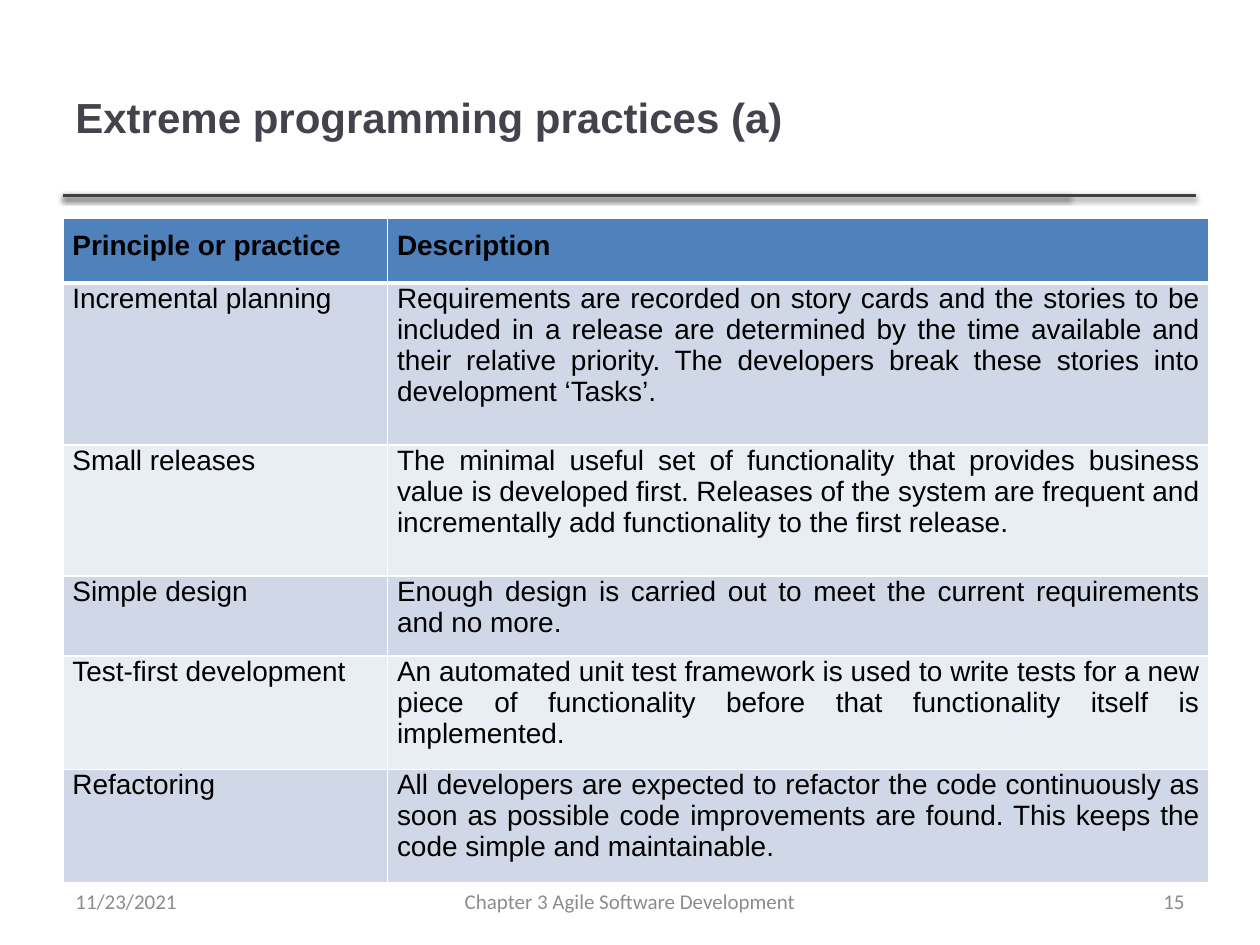
from dataclasses import dataclass

from lxml import etree
from pptx import Presentation
from pptx import util as u
from pptx.dml.color import RGBColor
from pptx.enum import shapes, text
from pptx.oxml import ns

Pt = u.Pt


@dataclass(frozen=True)
class Theme:
    title: str = "46424D"
    rule: str = "404040"
    footer: str = "8C8C8C"
    body: str = "000000"
    header_fill: str = "4F81BD"
    bands: tuple = ("D0D8E8", "E9EDF4")
    border: str = "FFFFFF"
    heading_font: str = "Arial"
    footer_font: str = "Calibri"
    title_size: int = 24
    body_size: int = 16
    footer_size: int = 12


theme = Theme()
align = text.PP_ALIGN


def write(text_frame, wording, font_name, size, color, bold, alignment):
    text_frame.text = wording
    text_frame.word_wrap = True
    paragraph = text_frame.paragraphs[0]
    paragraph.alignment = alignment
    font = paragraph.runs[0].font
    font.name = font_name
    font.size = Pt(size)
    font.bold = bold
    font.color.rgb = RGBColor.from_string(color)


def add_solid_fill(parent, color):
    fill = etree.SubElement(parent, ns.qn("a:solidFill"))
    return etree.SubElement(fill, ns.qn("a:srgbClr"), val=color)


presentation = Presentation()
presentation.slide_width = Pt(720)
presentation.slide_height = Pt(540)
slide = presentation.slides.add_slide(presentation.slide_layouts[6])

left = 36
rule_y = 111.6
for right in (611.3, 683.3):
    rule = slide.shapes.add_connector(
        shapes.MSO_CONNECTOR.STRAIGHT, Pt(left), Pt(rule_y), Pt(right), Pt(rule_y)
    )
    rule.line.width = Pt(2)
    rule.line.color.rgb = RGBColor.from_string(theme.rule)
    effects = etree.SubElement(rule._element.spPr, ns.qn("a:effectLst"))
    shadow = etree.SubElement(
        effects, ns.qn("a:outerShdw"), blurRad=str(Pt(3.1)), dist=str(Pt(1.6)),
        dir="5400000", rotWithShape="0",
    )
    shadow_color = etree.SubElement(shadow, ns.qn("a:srgbClr"), val="000000")
    etree.SubElement(shadow_color, ns.qn("a:alpha"), val="38000")

title_style = (theme.heading_font, theme.title_size, theme.title, True)
footer_style = (theme.footer_font, theme.footer_size, theme.footer, False)
text_boxes = [
    ("Extreme programming practices (a)", left, 21.6, 574.6, 90, title_style, align.LEFT),
    ("11/23/2021", left, 500.4, 168, 28.8, footer_style, align.LEFT),
    ("Chapter 3 Agile Software Development", 246, 500.4, 228, 28.8, footer_style, align.CENTER),
    ("15", 516, 500.4, 168, 28.8, footer_style, align.RIGHT),
]
for wording, x, y, width, height, style, alignment in text_boxes:
    text_box = slide.shapes.add_textbox(Pt(x), Pt(y), Pt(width), Pt(height))
    text_box.text_frame.vertical_anchor = text.MSO_ANCHOR.MIDDLE
    write(text_box.text_frame, wording, *style, alignment)

practices = [
    ("Principle or practice", "Description"),
    ("Incremental planning",
     "Requirements are recorded on story cards and the stories to be included in a release "
     "are determined by the time available and their relative priority. The developers break "
     "these stories into development ‘Tasks’."),
    ("Small releases",
     "The minimal useful set of functionality that provides business value is developed first. "
     "Releases of the system are frequent and incrementally add functionality to the first "
     "release."),
    ("Simple design",
     "Enough design is carried out to meet the current requirements and no more."),
    ("Test-first development",
     "An automated unit test framework is used to write tests for a new piece of functionality "
     "before that functionality itself is implemented."),
    ("Refactoring",
     "All developers are expected to refactor the code continuously as soon as possible code "
     "improvements are found. This keeps the code simple and maintainable."),
]
column_widths = (185.5, 469.5)
row_heights = (37.2, 92.4, 75, 41, 58.3, 58.3)
table = slide.shapes.add_table(
    len(practices), len(column_widths),
    Pt(left), Pt(124.6), Pt(sum(column_widths)), Pt(sum(row_heights)),
).table
for column, width in zip(table.columns, column_widths):
    column.width = Pt(width)

for row_index, (practice, height) in enumerate(zip(practices, row_heights)):
    table.rows[row_index].height = Pt(height)
    is_header = row_index == 0
    fill = theme.header_fill if is_header else theme.bands[(row_index - 1) % 2]
    borders = {
        "a:lnL": 1,
        "a:lnR": 1,
        "a:lnT": 3 if row_index == 1 else 1,
        "a:lnB": 3 if is_header else 1,
    }
    for column_index, wording in enumerate(practice):
        cell = table.cell(row_index, column_index)
        cell.margin_left = cell.margin_right = Pt(5.4)
        cell.margin_top = Pt(7.2 if is_header else 0)
        cell.margin_bottom = Pt(7.2)
        write(cell.text_frame, wording, theme.heading_font, theme.body_size,
              theme.body, is_header, align.JUSTIFY)
        properties = cell._tc.get_or_add_tcPr()
        for tag, width in borders.items():
            border = etree.SubElement(properties, ns.qn(tag), w=str(Pt(width)))
            add_solid_fill(border, theme.border)
        cell.fill.solid()
        cell.fill.fore_color.rgb = RGBColor.from_string(fill)

presentation.save("out.pptx")
